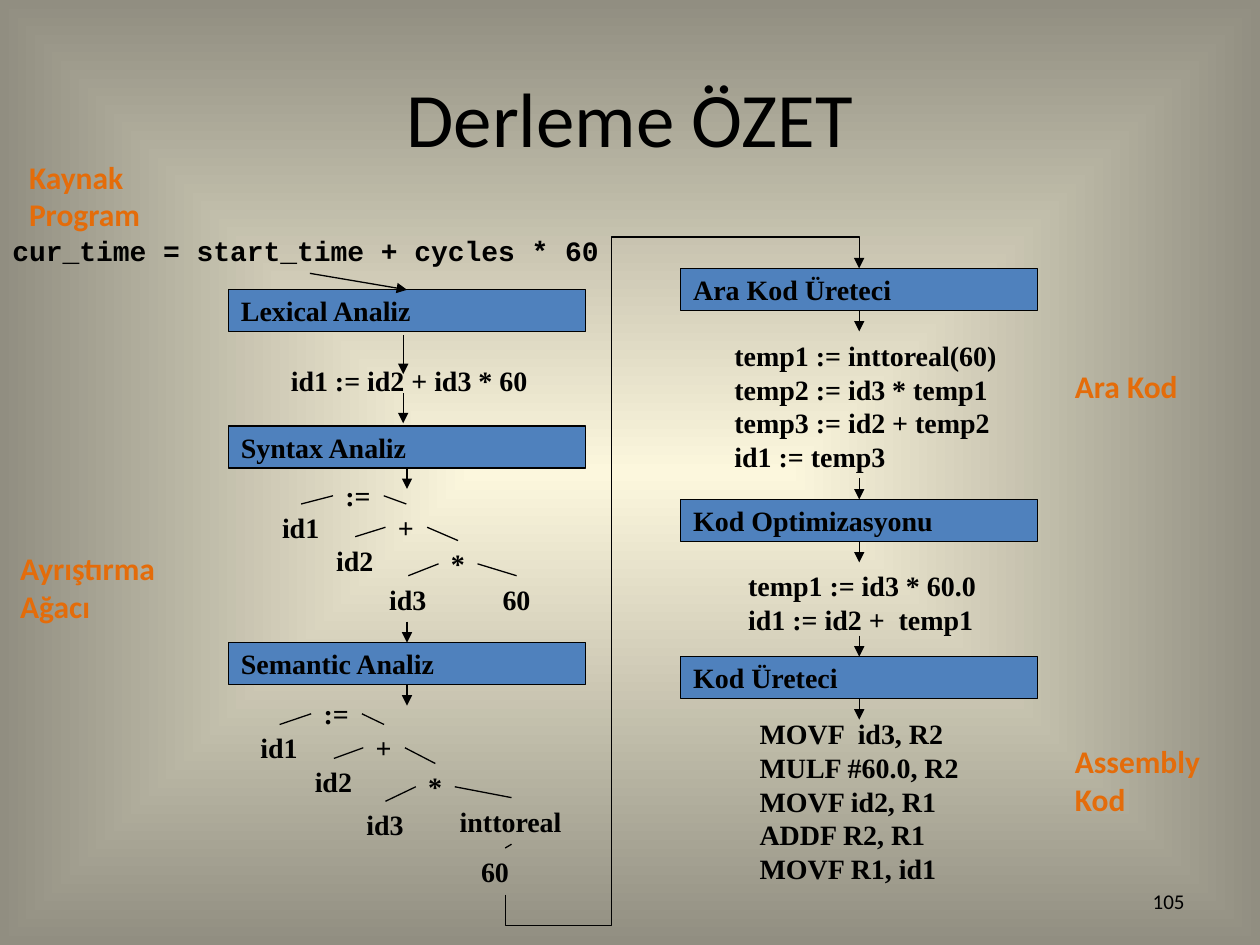
from lxml.etree import SubElement
from pptx import Presentation
from pptx.dml.color import RGBColor
from pptx.enum.shapes import MSO_CONNECTOR, MSO_SHAPE
from pptx.enum.text import MSO_ANCHOR, MSO_AUTO_SIZE, PP_ALIGN
from pptx.oxml.ns import qn
from pptx.util import Pt

SERIF, SANS, MONO = "Times New Roman", "Calibri", "Courier New"
BLACK, BLUE, ORANGE = "000000", "4F81BD", "E46C0A"
BOX_W, BOX_H, ROW, GAP = 204, 24, 26.6, 12

# name: left, top, arrow in, arrow out
STAGES = {
    "Lexical Analiz": (130.6, 165.6, False, False),
    "Syntax Analiz": (130.6, 243.4, False, True),
    "Semantic Analiz": (130.6, 367.2, True, True),
    "Ara Kod Üreteci": (389, 153.4, False, True),
    "Kod Optimizasyonu": (389, 285.4, True, True),
    "Kod Üreteci": (389, 375.2, True, True),
}
# lines, left, top, width, height, font
CODES = [
    (["cur_time = start_time + cycles * 60"], 0, 129.6, 355, ROW, MONO),
    (["id1 := id2 + id3 * 60"], 159.1, 203.8, 152, ROW, SERIF),
    (["temp1 := inttoreal(60)", "temp2 := id3 * temp1",
      "temp3 := id2 + temp2", "id1 := temp3"], 412.6, 189.4, 166.3, 85, SERIF),
    (["temp1 := id3 * 60.0", "id1 := id2 +  temp1"],
     420.5, 321.1, 146.2, 46.1, SERIF),
    (["MOVF  id3, R2", "MULF #60.0, R2", "MOVF id2, R1", "ADDF R2, R1",
      "MOVF R1, id1"], 427, 405.4, 129.6, 104.4, SERIF),
]
LABELS = [
    ("Kaynak Program", 16.6, 90, 72, 43.9),
    ("Ayrıştırma Ağacı", 11.5, 313.9, 78.5, 43.9),
    ("Ara Kod", 614.2, 209.5, 90, 21.6),
    ("Assembly Kod", 614.2, 424.1, 90, 43.9),
]
# node: left, top, width; then parent, side, child
TREES = [
    ({":=": (190.3, 270, 29), "id1": (154.1, 288, 36), "+": (220.3, 288, 23.8),
      "id2": (185, 306.7, 36), "*": (250.6, 308.9, 22.3),
      "id3": (215.3, 329, 36), "60": (280.1, 329, 30.2)},
     [(":=", 1, "id1"), (":=", 3, "+"), ("+", 1, "id2"), ("+", 3, "*"),
      ("*", 1, "id3"), ("*", 3, "60")]),
    ({":=": (177.8, 394.6, 29), "id1": (141.8, 414, 36), "+": (207.6, 414, 23.8),
      "id2": (172.8, 433.4, 36), "*": (237.6, 436.3, 22.3),
      "id3": (202.3, 457.9, 36), "inttoreal": (255.6, 455.8, 73.4),
      "60": (267.8, 484.6, 41.8)},
     [(":=", 1, "id1"), (":=", 3, "+"), ("+", 1, "id2"), ("+", 3, "*"),
      ("*", 1, "id3"), ("*", 3, "inttoreal"), ("inttoreal", 2, "60")]),
]
FREE = [(230.4, 191.5, 230.4, 213.8), (230.4, 224.6, 230.4, 241.9)]
SOURCE = (177.1, 156.2)
RETURN = (288.9, 511.2, 491, 153.4)


def color(code):
    return RGBColor.from_string(code)


def write(shape, lines, size, font, tint=BLACK, bold=True, wrap=False,
          align=PP_ALIGN.LEFT):
    frame = shape.text_frame
    frame.word_wrap = wrap
    frame.vertical_anchor = MSO_ANCHOR.MIDDLE
    for i, line in enumerate(lines):
        para = frame.add_paragraph() if i else frame.paragraphs[0]
        para.alignment = align
        run = para.add_run()
        run.text = line
        run.font.size, run.font.name, run.font.bold = Pt(size), font, bold
        run.font.color.rgb = color(tint)
    return frame


def text(shapes, spot, lines, size, font, **style):
    box = shapes.add_textbox(*map(Pt, spot))
    frame = write(box, lines, size, font, **style)
    return box, frame


def wire(shapes, ends, arrow=False, kind=MSO_CONNECTOR.STRAIGHT):
    line = shapes.add_connector(kind, *map(Pt, ends))
    line.line.color.rgb = color(BLACK)
    line.line.width = Pt(0.75)
    if arrow:
        SubElement(line.line._get_or_add_ln(), qn("a:tailEnd"), type="triangle")
    SubElement(line._element.spPr, qn("a:effectLst"))
    return line


def paint(slide):
    """Fill the background with light spreading from the centre."""
    fill = slide.background.fill
    fill.gradient()
    for stop, code, place in zip(fill.gradient_stops, ("FCF7DD", "918E81"), (0, 1)):
        stop.color.rgb = color(code)
        stop.position = place
    grad = slide._element.cSld.find(".//" + qn("a:gradFill"))
    grad.remove(grad.find(qn("a:lin")))
    way = SubElement(grad, qn("a:path"), {"path": "shape"})
    SubElement(way, qn("a:fillToRect"), dict.fromkeys("ltrb", "50000"))


def stage(shapes, name, left, top, enter, leave):
    box = shapes.add_shape(MSO_SHAPE.RECTANGLE, *map(Pt, (left, top, BOX_W, BOX_H)))
    box.shadow.inherit = False
    box.fill.solid()
    box.fill.fore_color.rgb = color(BLUE)
    box.line.color.rgb = color(BLACK)
    box.line.width = Pt(0.75)
    write(box, [name], 16, SERIF)
    mid, base = left + BOX_W / 2, top + BOX_H
    if enter:
        wire(shapes, (mid, top - GAP, mid, top), True).end_connect(box, 0)
    if leave:
        wire(shapes, (mid, base, mid, base + GAP), True).begin_connect(box, 2)
    return box


def tree(shapes, nodes, links):
    group = shapes.add_group_shape().shapes
    boxes = {}
    for name, (left, top, width) in nodes.items():
        boxes[name], frame = text(group, (left, top, width, ROW), [name], 16, SERIF)
        frame.auto_size = MSO_AUTO_SIZE.SHAPE_TO_FIT_TEXT
    for parent, side, child in links:
        left, top, width = nodes[parent]
        start = {1: (left, top + ROW / 2), 2: (left + width / 2, top + ROW),
                 3: (left + width, top + ROW / 2)}[side]
        left, top, width = nodes[child]
        line = wire(group, (*start, left + width / 2, top))
        line.begin_connect(boxes[parent], side)
        line.end_connect(boxes[child], 0)


def loop(shapes, x1, y1, x2, y2):
    """Draw the five-part elbow that leads from the left column to the right."""
    wide, high = y1 - y2, x2 - x1
    left, top = (x1 + x2 - wide) / 2, (y1 + y2 - high) / 2
    line = wire(shapes, (left + wide, top + high, left, top), True,
                MSO_CONNECTOR.ELBOW)
    props = line._element.spPr
    props.find(qn("a:xfrm")).set("rot", "5400000")
    geom = props.find(qn("a:prstGeom"))
    geom.set("prst", "bentConnector5")
    for child in list(geom):
        geom.remove(child)
    guides = SubElement(geom, qn("a:avLst"))
    for i, value in enumerate((-5000, 30000, 105000), 1):
        SubElement(guides, qn("a:gd"), name=f"adj{i}", fmla=f"val {value}")


def main():
    deck = Presentation()
    deck.slide_width, deck.slide_height = Pt(720), Pt(540)
    slide = deck.slides.add_slide(deck.slide_layouts[6])
    shapes = slide.shapes
    paint(slide)
    text(shapes, (36, 21.6, 648, 90), ["Derleme ÖZET"], 44, SANS, bold=False,
         wrap=True, align=PP_ALIGN.CENTER)
    text(shapes, (516, 500.5, 168, 28.8), ["105"], 12, SANS, bold=False,
         wrap=True, align=PP_ALIGN.RIGHT)
    boxes = {name: stage(shapes, name, *rest) for name, rest in STAGES.items()}
    for lines, *spot, font in CODES:
        frame = text(shapes, spot, lines, 16, font)[1]
        frame.auto_size = MSO_AUTO_SIZE.SHAPE_TO_FIT_TEXT
    for nodes, links in TREES:
        tree(shapes, nodes, links)
    left, top = STAGES["Lexical Analiz"][:2]
    first = wire(shapes, (*SOURCE, left + BOX_W / 2, top), True)
    first.end_connect(boxes["Lexical Analiz"], 0)
    for ends in FREE:
        wire(shapes, ends, True)
    loop(shapes, *RETURN)
    for name, *spot in LABELS:
        frame = text(shapes, spot, [name], 18, SANS, tint=ORANGE, wrap=True)[1]
        frame.vertical_anchor = MSO_ANCHOR.TOP
        frame.margin_left = frame.margin_right = 0
        frame.margin_top = frame.margin_bottom = 0
    deck.save("out.pptx")


if __name__ == "__main__":
    main()
